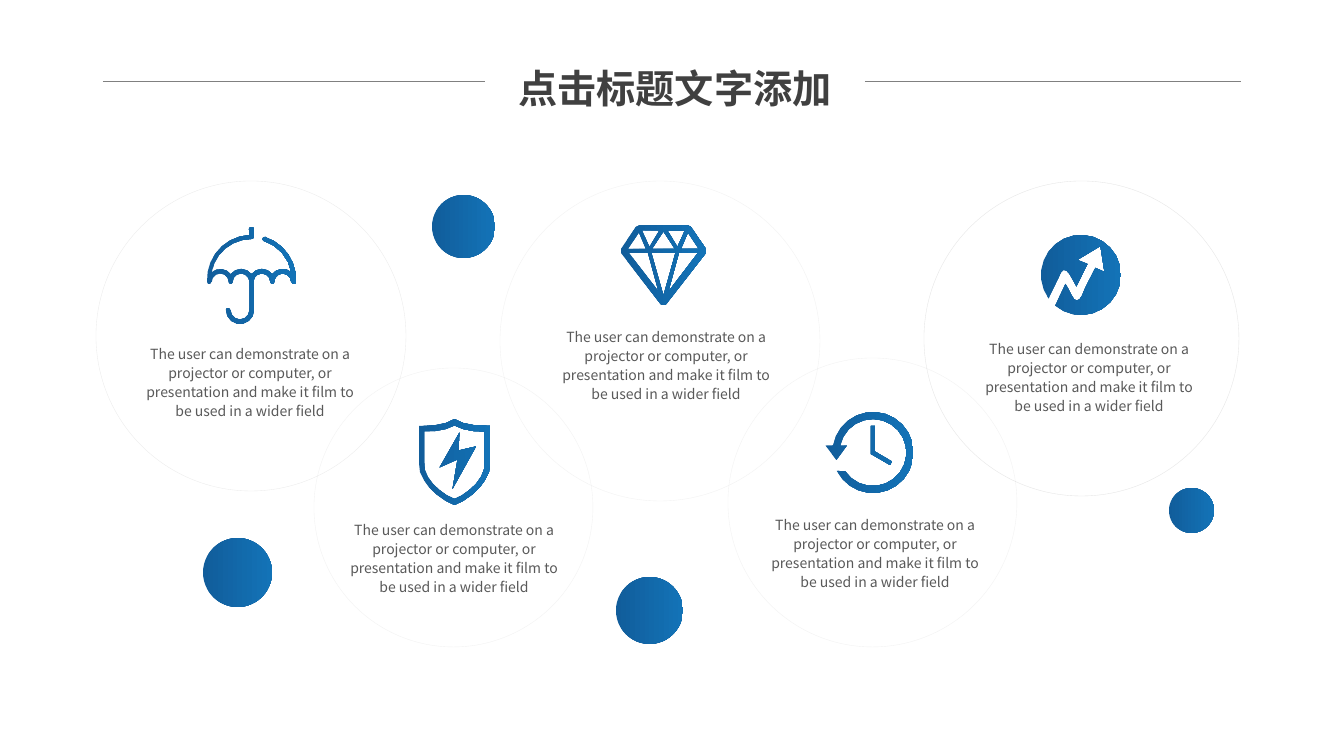
from math import cos, radians, sin, sqrt

from lxml import etree
from pptx import Presentation
from pptx.dml.color import RGBColor
from pptx.enum.shapes import MSO_CONNECTOR, MSO_SHAPE
from pptx.enum.text import PP_ALIGN
from pptx.oxml.ns import qn
from pptx.util import Pt

PX = 914400 / 100.8
OVAL = MSO_SHAPE.OVAL
STRAIGHT = MSO_CONNECTOR.STRAIGHT
CENTER = PP_ALIGN.CENTER

DEEP_BLUE = RGBColor(0x11, 0x5D, 0x9B)
BLUE = RGBColor(0x13, 0x73, 0xB7)
RING_GRAY = RGBColor(0xBF, 0xBF, 0xBF)
RULE_GRAY = RGBColor(0x80, 0x80, 0x80)
TITLE_GRAY = RGBColor(0x40, 0x40, 0x40)
TEXT_GRAY = RGBColor(0x59, 0x59, 0x59)

BODY = ("The user can demonstrate on a projector or computer, or presentation "
        "and make it film to be used in a wider field")


def emu(value):
    return round(value * PX)


def arc(cx, cy, radius, start, end):
    steps = max(2, round(abs(end - start) * sqrt(radius) / 90))
    angles = [radians(start + (end - start) * i / steps) for i in range(steps + 1)]
    return [(cx + radius * cos(a), cy + radius * sin(a)) for a in angles]


def mirror(points, axis):
    return [(2 * axis - x, y) for x, y in reversed(points)]


def symmetric(points, axis):
    return points + mirror(points, axis)[1:-1]


def umbrella():
    cx, cy, rim, step = 251.5, 279.5, 282, 20.8
    scallops = [cx + step * k for k in (-1.5, -0.5, 0.5, 1.5)]
    angles = [(231, 323), (217, 323), (217, 323), (217, 309)]
    upper = [p for x, (a, b) in zip(scallops, angles) for p in arc(x, rim, 13, a, b)]
    lower = [arc(x, rim, 8.5, 360, 180) for x in scallops]
    tip_x, tip_y = arc(cx, cy, 42.5, 288, 288)[0]
    return [
        arc(cx, 229, 2.5, 180, 360) + arc(cx, 236.5, 2.5, 0, 90)
        + arc(cx, cy, 40.5, 270, 190) + upper
        + arc(cx, cy, 40.5, 350, 288) + arc(tip_x, tip_y, 2.2, 108, 288)
        + arc(cx, cy, 44.5, 288, 363) + arc(293.8, rim, 2.2, 0, 180)
        + lower[3] + arc(cx + step, rim, 2, 0, 180) + lower[2]
        + arc(240, 310, 14, 0, 180) + arc(228, 310, 2.2, 180, 360)
        + arc(240, 310, 9.5, 180, 0)
        + lower[1] + arc(cx - step, rim, 2, 0, 180) + lower[0]
        + arc(209.2, rim, 2.2, 0, 180) + arc(cx, cy, 44.5, 177, 267)
    ]


def shield():
    axis = 454.5
    outer = [(axis, 505), (446, 501), (436, 494), (429, 487), (424, 480),
             (420, 472), (419, 463), (419, 426), (436, 425), (446, 423), (axis, 419)]
    inner = [(axis, 499), (447, 495.5), (439.5, 490), (433, 484), (428, 477),
             (425, 470), (424.5, 463), (424.5, 431.5), (436, 431), (446, 429), (axis, 425.5)]
    bolt = [(459.5, 432.5), (439.5, 467.5), (457.5, 459.5),
            (452.5, 489), (476, 446.5), (458.5, 450.5)]
    return [symmetric(outer, axis), symmetric(inner, axis), bolt]


def diamond():
    axis = 663.5
    outline = [(axis, 305.5), (661, 304.5), (621, 253), (621, 249), (636, 227),
               (639, 225.5), (axis, 225.5)]
    facets = [[(658.5, 291.5), (629, 253), (648, 253)],
              [(639, 232.5), (646, 249), (628, 249)],
              [(642, 230.5), (659.5, 230.5), (649.5, 247)]]
    return [
        symmetric(outline, axis),
        [(675.5, 253), (axis, 295.5), (651.5, 253)],
        [(652, 249), (axis, 231.5), (675, 249)],
        *facets,
        *[mirror(facet, axis) for facet in facets],
    ]


def clock():
    cx, cy = 873, 452.5
    dial = (arc(cx, cy, 40.5, 190, 513) + arc(cx, cy, 33.5, 506, 192)
            + [(847, 445.5), (836.5, 460), (825.5, 445.5)])
    hands = [(871, 426), (871, 454), (890, 465), (892, 461.5), (875, 451.5), (875, 426)]
    return [dial, hands]


def growth():
    trend = [(1065.5, 284), (1068.5, 289), (1071.5, 295), (1074, 299), (1076.5, 300.5),
             (1079.5, 299.5), (1082, 296), (1085.5, 287.5), (1095.5, 268),
             (1104.5, 272), (1100.5, 246), (1077.5, 260), (1087.5, 264),
             (1076.5, 286.5), (1072.5, 279), (1069.5, 274), (1066.5, 270.5),
             (1063.5, 270), (1061, 272.5), (1058.5, 278)]
    return [arc(1081, 275, 40, 144, 490) + trend]


class Deck:
    font = "Noto Sans CJK SC"

    def __init__(self, prs):
        self.slide = prs.slides.add_slide(prs.slide_layouts[6])
        self.shapes = self.slide.shapes

    def paint(self, sp):
        sp.shadow.inherit = False
        sp.line.fill.background()
        sp.fill.gradient()
        sp.fill.gradient_angle = 0
        for stop, color in zip(sp.fill.gradient_stops, (DEEP_BLUE, BLUE)):
            stop.color.rgb = color

    def oval(self, x, y, size):
        return self.shapes.add_shape(OVAL, emu(x), emu(y), emu(size), emu(size))

    def ball(self, x, y, size):
        self.paint(self.oval(x, y, size))

    def ring(self, x, y, size, opacity):
        sp = self.oval(x, y, size)
        sp.shadow.inherit = False
        sp.fill.background()
        sp.line.color.rgb = RING_GRAY
        sp.line.width = Pt(0.25)
        color = sp.line._ln.find(".//" + qn("a:srgbClr"))
        etree.SubElement(color, qn("a:alpha"), val=str(opacity * 1000))

    def icon(self, contours):
        contours = [[(emu(x), emu(y)) for x, y in points] for points in contours]
        builder = self.shapes.build_freeform(*contours[0][0], scale=1.0)
        for points in contours:
            if points is not contours[0]:
                builder.move_to(*points[0])
            builder.add_line_segments(points[1:], close=True)
        self.paint(builder.convert_to_shape())

    def rule(self, x1, x2, y):
        line = self.shapes.add_connector(STRAIGHT, emu(x1), emu(y), emu(x2), emu(y))
        line.line.color.rgb = RULE_GRAY
        line.line.width = Pt(0.5)
        etree.SubElement(line._element.spPr, qn("a:effectLst"))

    def text(self, text, x, y, w, h, *, size, color, spacing, bold=False):
        tf = self.shapes.add_textbox(emu(x), emu(y), emu(w), emu(h)).text_frame
        tf.word_wrap = True
        p = tf.paragraphs[0]
        p.alignment = CENTER
        p.line_spacing = spacing
        r = p.add_run()
        r.text = text
        r.font.size = Pt(size)
        r.font.bold = bold
        r.font.color.rgb = color
        r.font.name = self.font
        etree.SubElement(r.font._element, qn("a:ea"), typeface=self.font)


BALLS = [(432, 195, 63), (1169, 488, 45), (616, 577, 67), (203, 538, 69)]
TOPICS = [
    ((96, 181, 310, 30), umbrella, (131, 338)),
    ((314, 368, 279, 20), shield, (335, 514)),
    ((500, 181, 320, 20), diamond, (547, 321)),
    ((728, 358, 289, 20), clock, (756, 509)),
    ((924, 181, 315, 40), growth, (970, 333)),
]

prs = Presentation()
prs.slide_width, prs.slide_height = emu(1344), emu(756)
deck = Deck(prs)
for ball in BALLS:
    deck.ball(*ball)
for ring, draw, corner in TOPICS:
    deck.ring(*ring)
    deck.icon(draw())
    deck.text(BODY, *corner, 238, 88, size=10, color=TEXT_GRAY, spacing=1.14)
deck.text("点击标题文字添加", 450, 50, 450, 65, size=28, color=TITLE_GRAY, spacing=1.2, bold=True)
for x1, x2 in ((103, 485), (865, 1241)):
    deck.rule(x1, x2, 81)
prs.save("out.pptx")
